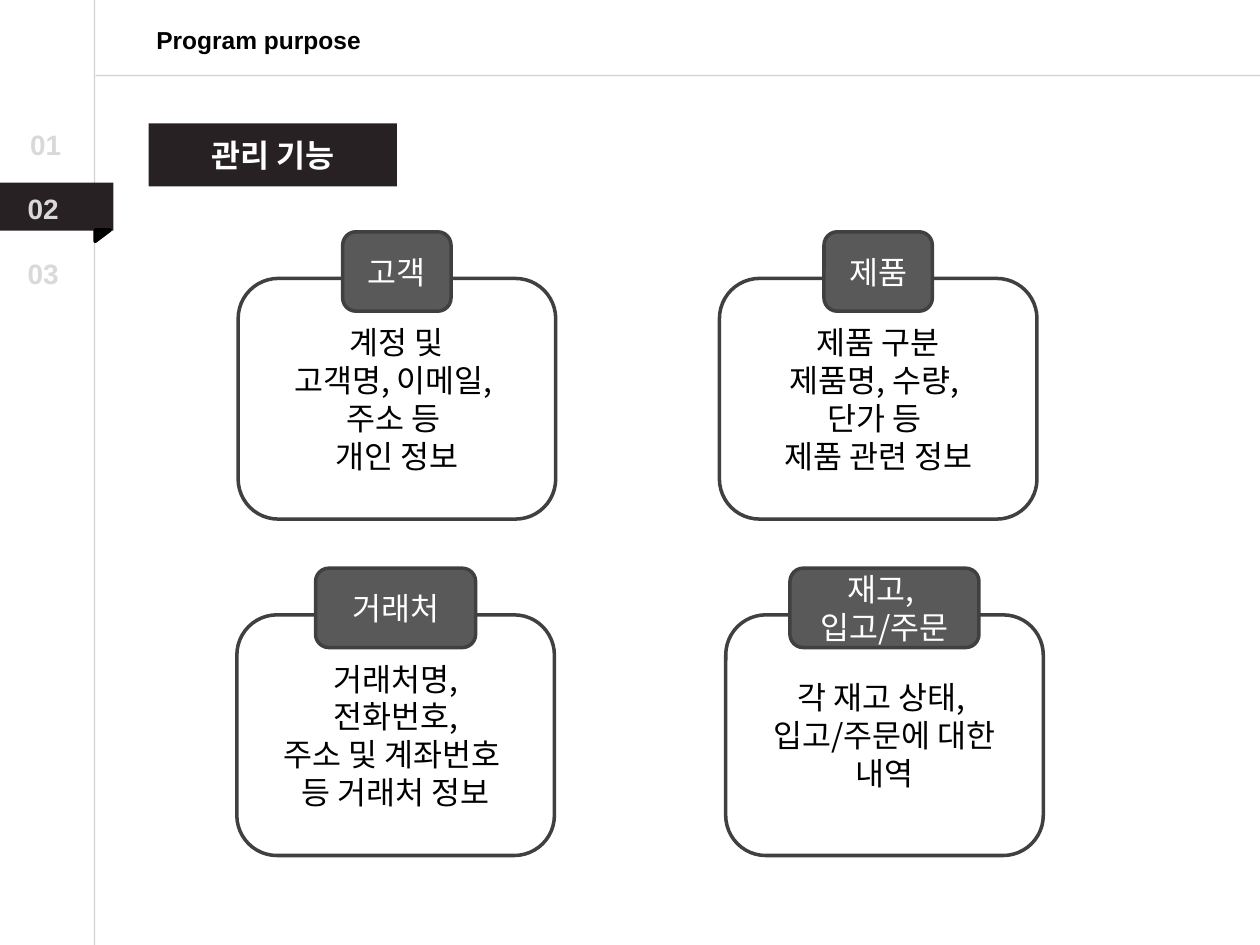
from lxml import etree
from pptx import Presentation
from pptx.dml.color import RGBColor
from pptx.enum import shapes, text
from pptx.oxml.ns import qn
from pptx.util import Inches, Pt

WHITE = RGBColor(0xFF, 0xFF, 0xFF)
BLACK = RGBColor(0, 0, 0)
INK = RGBColor(0x27, 0x21, 0x23)
BORDER = RGBColor(0x40, 0x40, 0x40)
TAB = RGBColor(0x59, 0x59, 0x59)
RULE = RGBColor(0xA6, 0xA6, 0xA6)
PALE = RGBColor(0xD9, 0xD9, 0xD9)
LATIN, KOREAN = "Arial", "Noto Sans CJK KR"

CARD_WIDTH, CARD_HEIGHT, TAB_HEIGHT, TAB_RISE = 2.52, 1.91, 0.63, 0.37

# Left, top, tab width, tab lines, body lines
CARDS = [
    (1.89, 2.21, 0.86, ["고객"],
     ["계정 및", "고객명, 이메일, ", "주소 등 ", "개인 정보"]),
    (5.71, 2.21, 0.86, ["제품"],
     ["제품 구분", "제품명, 수량, ", "단가 등 ", "제품 관련 정보"]),
    (1.88, 4.88, 1.27, ["거래처"],
     ["거래처명,", "전화번호,", "주소 및 계좌번호 ", "등 거래처 정보"]),
    (5.76, 4.88, 1.5, ["재고, ", "입고/주문"],
     ["각 재고 상태, ", "입고/주문에 대한", "내역"]),
]


def write(shape, lines, *, size=18, font=KOREAN, color=BLACK, bold=False,
          align=text.PP_ALIGN.CENTER, anchor=text.MSO_ANCHOR.MIDDLE):
    frame = shape.text_frame
    frame.word_wrap = True
    frame.vertical_anchor = anchor
    for index, line in enumerate(lines):
        para = frame.add_paragraph() if index else frame.paragraphs[0]
        para.alignment = align
        span = para.add_run()
        span.text = line
        span.font.size, span.font.bold = Pt(size), bold
        span.font.name, span.font.color.rgb = font, color
        east_asian = etree.SubElement(span.font._element, qn("a:ea"))
        east_asian.set("typeface", KOREAN)


def add_block(parent, kind, left, top, width, height, fill=None, line=None):
    block = parent.shapes.add_shape(
        kind, Inches(left), Inches(top), Inches(width), Inches(height))
    block.shadow.inherit = False
    if fill is None:
        block.fill.background()
    else:
        block.fill.solid()
        block.fill.fore_color.rgb = fill
    if line is None:
        block.line.fill.background()
    else:
        block.line.color.rgb = line
        block.line.width = Pt(2)
    return block


def add_rule(page, x1, y1, x2, y2):
    rule = page.shapes.add_connector(
        shapes.MSO_CONNECTOR.STRAIGHT,
        Inches(x1), Inches(y1), Inches(x2), Inches(y2))
    rule.line.color.rgb = RULE
    rule.line.width = Pt(0.75)
    properties = rule._element.spPr
    color = properties.find(".//" + qn("a:srgbClr"))
    etree.SubElement(color, qn("a:alpha")).set("val", "50000")
    etree.SubElement(properties, qn("a:effectLst"))


def add_number(page, label, left, top):
    box = page.shapes.add_textbox(
        Inches(left), Inches(top), Inches(0.55), Inches(0.37))
    write(box, [label], size=16, font=LATIN, color=PALE, bold=True,
          align=text.PP_ALIGN.LEFT, anchor=text.MSO_ANCHOR.TOP)


def add_title(page, words):
    title = page.shapes.title
    title.left, title.top = Inches(1.14), Inches(0.15)
    title.width, title.height = Inches(1.97), Inches(0.34)
    write(title, [words], size=14, font=LATIN, bold=True,
          align=text.PP_ALIGN.LEFT, anchor=text.MSO_ANCHOR.TOP)


def add_card(page, left, top, tab_width, tab_lines, body_lines):
    rounded = shapes.MSO_SHAPE.ROUNDED_RECTANGLE
    group = page.shapes.add_group_shape()
    body = add_block(group, rounded, left, top, CARD_WIDTH, CARD_HEIGHT,
                     line=BORDER)
    write(body, body_lines)
    # The tab is centred on the top edge of the card
    tab_left = left + (CARD_WIDTH - tab_width) / 2
    tab = add_block(group, rounded, tab_left, top - TAB_RISE,
                    tab_width, TAB_HEIGHT, fill=TAB, line=BORDER)
    write(tab, tab_lines, color=WHITE)


def main():
    deck = Presentation()
    deck.slide_width, deck.slide_height = Inches(10), Inches(7.5)
    page = deck.slides.add_slide(deck.slide_layouts[5])
    rectangle = shapes.MSO_SHAPE.RECTANGLE

    # Header and side navigation
    add_title(page, "Program purpose")
    add_rule(page, 0.75, 0, 0.75, 7.5)
    add_rule(page, 10, 0.6, 0.76, 0.6)
    add_block(page, rectangle, 0, 1.45, 0.9, 0.38, fill=INK)
    fold = add_block(page, shapes.MSO_SHAPE.RIGHT_TRIANGLE,
                     0.77, 1.81, 0.09, 0.12, fill=BLACK, line=BLACK)
    fold.rotation = 90
    for label, left, top in (("01", 0.14, 0.96), ("02", 0.12, 1.47),
                             ("03", 0.12, 1.99)):
        add_number(page, label, left, top)

    # Section heading and its four cards
    heading = add_block(page, rectangle, 1.18, 0.98, 1.97, 0.5, fill=INK)
    write(heading, ["관리 기능"], font=LATIN, color=WHITE, bold=True)
    for card in CARDS:
        add_card(page, *card)

    deck.save("out.pptx")


if __name__ == "__main__":
    main()
